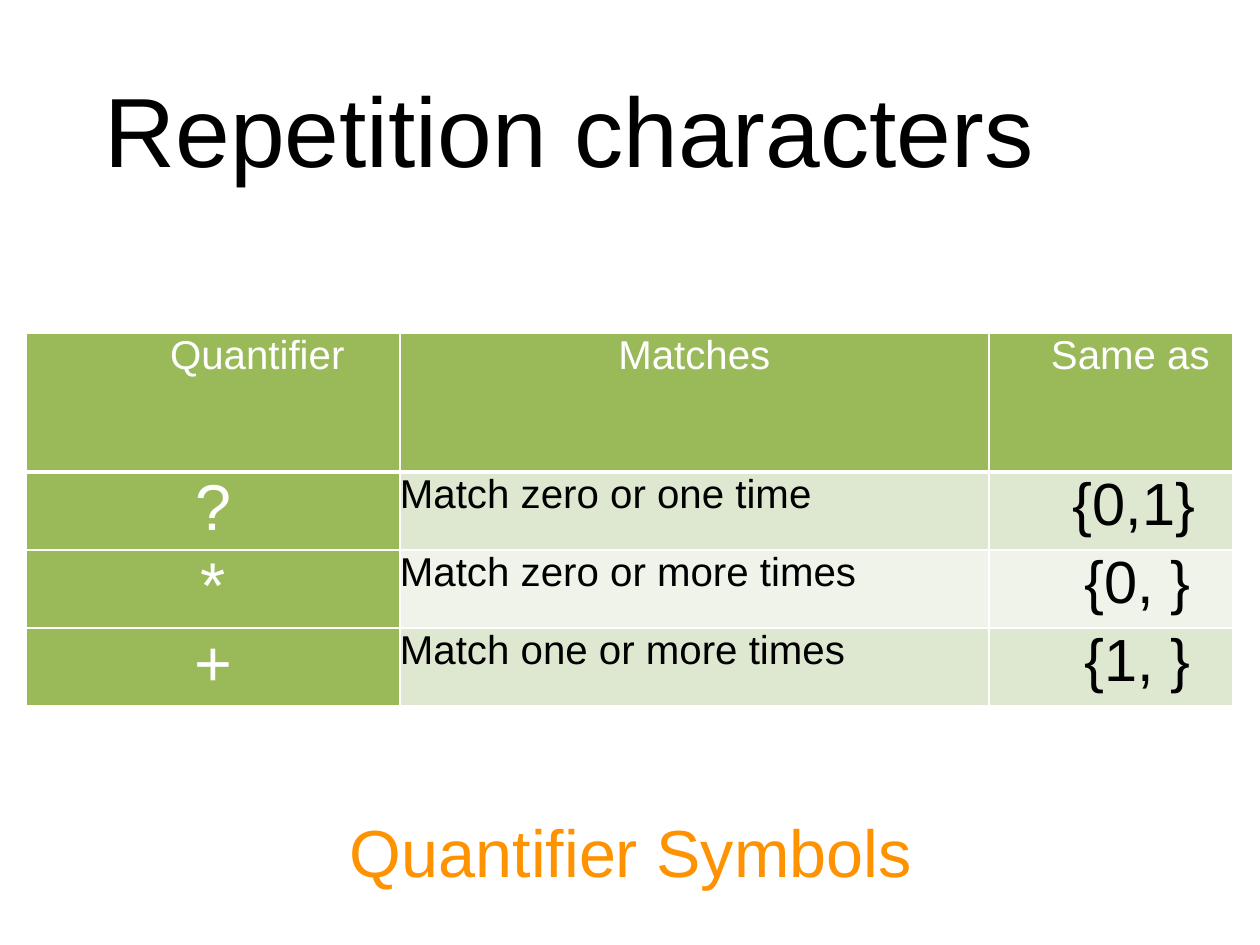
from lxml.etree import SubElement
from pptx import Presentation
from pptx.dml.color import RGBColor
from pptx.enum.text import MSO_ANCHOR, MSO_AUTO_SIZE, PP_ALIGN
from pptx.oxml.ns import qn
from pptx.util import Emu, Pt

PX = 914400 // 126
WHITE = RGBColor(0xFF, 0xFF, 0xFF)
BLACK = RGBColor(0, 0, 0)
GREEN = RGBColor(0x9A, 0xBA, 0x59)
BANDS = [RGBColor(0xDE, 0xE7, 0xD0), RGBColor(0xEF, 0xF3, 0xE9)]
ORANGE = RGBColor(0xFF, 0x92, 0x00)

TITLE = "Repetition characters"
CAPTION = "Quantifier Symbols"
ROWS = [
    ("Quantifier", "Matches", "Same as"),
    ("?", "Match zero or one time", "{0,1}"),
    ("*", "Match zero or more times", "{0, }"),
    ("+", "Match one or more times", "{1, }"),
]
COL_WIDTHS = [374, 589, 244]
ROW_HEIGHTS = [139, 78, 78, 78]
BODY_SIZES = [37, 23, 34]
HEAD_SIZE = 23
# Left indents in px, by (row, column)
INDENTS = {(0, 0): 144, (0, 2): 62, (1, 2): 84, (2, 2): 96, (3, 2): 96}
CENTERED = {(0, 1), (1, 0), (2, 0), (3, 0)}


def px(n):
    return Emu(n * PX)


def write(tf, text, size, color, align=PP_ALIGN.LEFT, indent=0):
    p = tf.paragraphs[0]
    p.alignment = align
    if indent:
        p._p.get_or_add_pPr().set("marL", str(px(indent)))
    r = p.add_run()
    r.text = text
    r.font.name = "Arial"
    r.font.size = Pt(size)
    r.font.bold = False
    r.font.color.rgb = color


def clear_margins(box):
    box.margin_left = box.margin_right = box.margin_top = box.margin_bottom = 0


def add_borders(cell, widths):
    tcPr = cell._tc.get_or_add_tcPr()
    for side, width in widths.items():
        ln = SubElement(tcPr, qn(f"a:ln{side}"), w=str(Pt(width)))
        fill = SubElement(ln, qn("a:solidFill"))
        SubElement(fill, qn("a:srgbClr"), val=str(WHITE))


prs = Presentation()
prs.slide_width, prs.slide_height = px(1260), px(945)
s = prs.slides.add_slide(prs.slide_layouts[5])

# Caption below the table, wide enough for one line
sp = s.shapes.add_textbox(px(348), px(811), px(590), px(81))
tf = sp.text_frame
tf.word_wrap = True
tf.auto_size = MSO_AUTO_SIZE.SHAPE_TO_FIT_TEXT
clear_margins(tf)
write(tf, CAPTION, 38, ORANGE, indent=2)

# Quantifier table
table = s.shapes.add_table(len(ROWS), len(COL_WIDTHS), px(26), px(333),
                           px(sum(COL_WIDTHS)), px(sum(ROW_HEIGHTS))).table
table.first_row = table.horz_banding = False
for col, width in zip(table.columns, COL_WIDTHS):
    col.width = px(width)
for row, height in zip(table.rows, ROW_HEIGHTS):
    row.height = px(height)

for i, texts in enumerate(ROWS):
    for j, text in enumerate(texts):
        cell = table.cell(i, j)
        clear_margins(cell)
        add_borders(cell, {"L": 1, "R": 1, "T": 3 if i == 1 else 1,
                           "B": 3 if i == 0 else 1})
        heading = i == 0 or j == 0
        cell.fill.solid()
        cell.fill.fore_color.rgb = GREEN if heading else BANDS[(i - 1) % 2]
        write(cell.text_frame, text, HEAD_SIZE if i == 0 else BODY_SIZES[j],
              WHITE if heading else BLACK,
              PP_ALIGN.CENTER if (i, j) in CENTERED else PP_ALIGN.LEFT,
              INDENTS.get((i, j), 0))

# Title
sp = s.shapes.title
sp.left, sp.top, sp.width, sp.height = px(92), px(63), px(1137), px(132)
tf = sp.text_frame
tf.auto_size = MSO_AUTO_SIZE.NONE
tf.vertical_anchor = MSO_ANCHOR.TOP
write(tf, TITLE, 56.2, BLACK)

prs.save("out.pptx")
